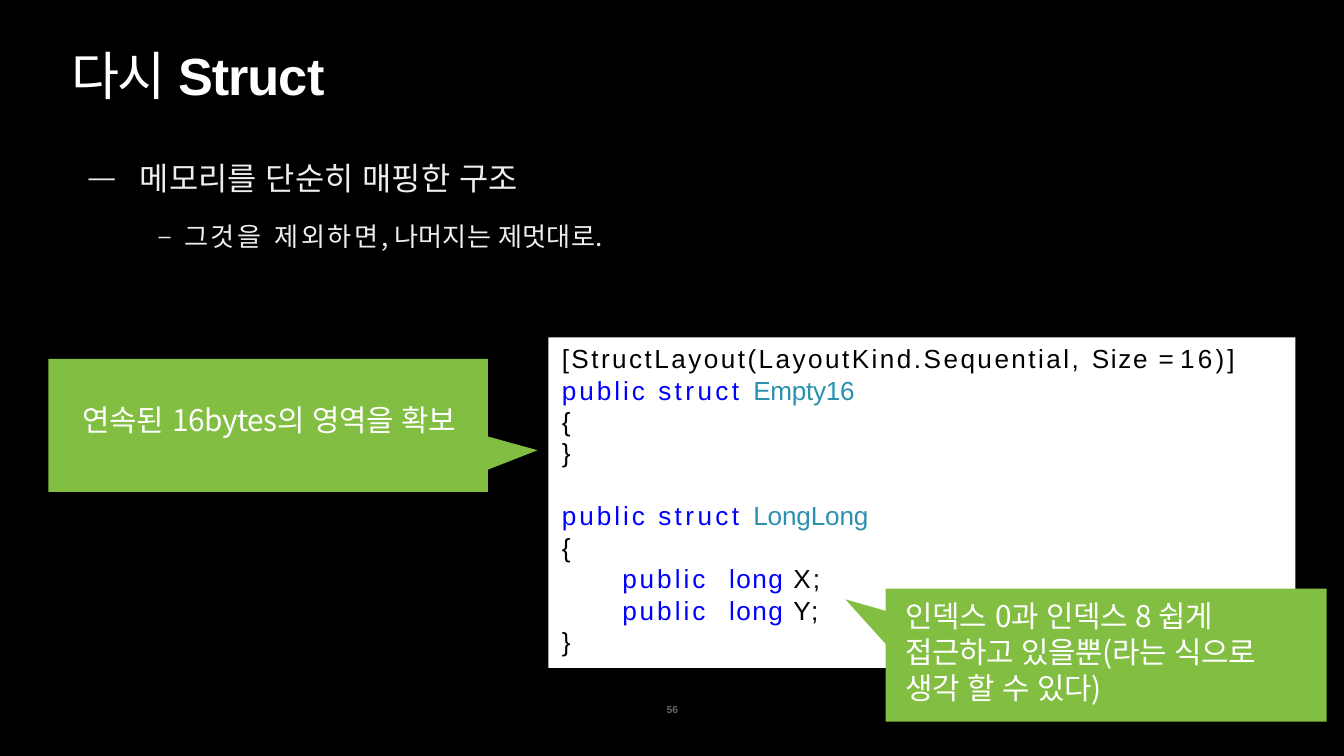
from dataclasses import dataclass

from lxml import etree
from pptx import Presentation
from pptx.dml.color import RGBColor
from pptx.enum.shapes import MSO_SHAPE
from pptx.enum.text import MSO_ANCHOR, PP_ALIGN
from pptx.oxml.ns import qn
from pptx.util import Inches, Pt

RECTANGLE = MSO_SHAPE.RECTANGLE
CALLOUT = MSO_SHAPE.RECTANGULAR_CALLOUT
LEFT, CENTER = PP_ALIGN.LEFT, PP_ALIGN.CENTER
TOP = MSO_ANCHOR.TOP

COLORS = {
    "black": "000000",
    "white": "FFFFFF",
    "body": "EEEEEE",
    "keyword": "0000FF",
    "type": "2B91AE",
    "green": "81BE41",
    "page": "666666",
}
LATIN, KOREAN = "Arial", "Noto Sans CJK JP"
LINE_HEIGHT = 1.2


@dataclass(frozen=True)
class Span:
    text: str
    color: str = "white"
    spacing: float = 0
    font: str = LATIN
    bold: bool = False


@dataclass(frozen=True)
class Line:
    spans: tuple[Span, ...]
    size: float = 14
    before: float = 0
    align: int = LEFT
    indent: float = 0.01
    bullet: str = ""
    hanging: float = 0


@dataclass(frozen=True)
class Callout:
    left: float
    top: float
    width: float
    height: float
    tip: tuple[float, float]
    margins: tuple[float, float, float]
    line: Line


def set_color(fill, name: str) -> None:
    fill.solid()
    fill.fore_color.rgb = RGBColor.from_string(COLORS[name])


def set_indent(paragraph, line: Line) -> None:
    """Set the left margin and, if the line has one, its hanging bullet."""
    properties = paragraph._p.get_or_add_pPr()
    properties.set("marL", str(Inches(line.indent)))
    properties.set("indent", str(Inches(-line.hanging)))
    if line.bullet:
        etree.SubElement(properties, qn("a:buSzPct")).set("val", "83000")
        etree.SubElement(properties, qn("a:buFont")).set("typeface", LATIN)
        etree.SubElement(properties, qn("a:buChar")).set("char", line.bullet)


def write_lines(text_frame, lines: list[Line], margins=(0, 0.01, 0)) -> None:
    """Fill a text frame; margins are left, top and right in inches."""
    left, top, right = margins
    frame_format = {
        "word_wrap": True,
        "vertical_anchor": TOP,
        "margin_left": Inches(left),
        "margin_top": Inches(top),
        "margin_right": Inches(right),
        "margin_bottom": 0,
    }
    for name, value in frame_format.items():
        setattr(text_frame, name, value)
    for index, line in enumerate(lines):
        paragraph = text_frame.add_paragraph() if index else text_frame.paragraphs[0]
        paragraph_format = {
            "alignment": line.align,
            "space_before": Pt(line.before),
            "line_spacing": Pt(line.size * LINE_HEIGHT),
        }
        for name, value in paragraph_format.items():
            setattr(paragraph, name, value)
        set_indent(paragraph, line)
        for span in line.spans:
            run = paragraph.add_run()
            run.text = span.text
            run_format = {"size": Pt(line.size), "name": span.font, "bold": span.bold}
            for name, value in run_format.items():
                setattr(run.font, name, value)
            set_color(run.font.fill, span.color)
            properties = run._r.get_or_add_rPr()
            properties.set("spc", str(round(span.spacing * 100)))
            etree.SubElement(properties, qn("a:ea")).set("typeface", LATIN)


def add_text(slide, left: float, top: float, width: float, height: float,
             lines: list[Line]) -> None:
    box = slide.shapes.add_textbox(
        Inches(left), Inches(top), Inches(width), Inches(height))
    write_lines(box.text_frame, lines)


def add_filled_shape(slide, kind, left: float, top: float, width: float,
                     height: float, color: str):
    shape = slide.shapes.add_shape(
        kind, Inches(left), Inches(top), Inches(width), Inches(height))
    shape.shadow.inherit = False
    shape.line.fill.background()
    set_color(shape.fill, color)
    return shape


def add_callout(slide, callout: Callout) -> None:
    shape = add_filled_shape(slide, CALLOUT, callout.left, callout.top,
                             callout.width, callout.height, "green")
    tip_x, tip_y = callout.tip
    shape.adjustments[0] = (tip_x - callout.left) / callout.width - 0.5
    shape.adjustments[1] = (tip_y - callout.top) / callout.height - 0.5
    write_lines(shape.text_frame, [callout.line], callout.margins)


def struct_header(name: str, spacing: float, before: float = 0) -> Line:
    return Line((Span("public ", "keyword", 1.6), Span("struct ", "keyword", 1.8),
                 Span(name, "type", spacing)), before=before)


def brace(symbol: str) -> Line:
    return Line((Span(symbol, "black", 3),))


def long_field(name: str) -> Line:
    return Line((Span("public", "keyword", 1.6), Span(" ", "keyword", 7.1),
                 Span("long ", "keyword", 0.8), Span(f"{name};", "black", 1.1)),
                indent=0.46)


def callout_line(text: str, align: int) -> Line:
    return Line((Span(text, spacing=-0.2, font=KOREAN),), 16, 0.9, align)


TITLE = [Line((Span("다시 ", spacing=-0.9), Span("Struc", spacing=-0.6, bold=True),
               Span("t", spacing=0.1, bold=True)), 28, 0.9)]
BODY = [
    Line((Span("메모리를 단순히 매핑한 구조", "body", font=KOREAN),),
         17, 1.1, indent=0.4, bullet="—", hanging=0.38),
    Line((Span("그것을 제외하면", "body", 1.4),
          Span(", 나머지는 제멋대로.", "body", font=KOREAN)),
         14, 12.9, indent=0.73, bullet="–", hanging=0.19),
]
EMPTY_STRUCT = [
    Line((Span("[StructLayout(LayoutKind.Sequential, ", "black", 1.3),
          Span("Size ", "black", 0.9), Span("= ", "black", -0.5),
          Span("16)]", "black", 1.7)), before=1),
    struct_header("Empty16", -0.2),
    brace("{"),
    brace("}"),
]
LONG_STRUCT = [struct_header("LongLong", -0.1, 1), brace("{"),
               long_field("X"), long_field("Y"), brace("}")]
PAGE_NUMBER = [Line((Span("56", "page", 0.1, bold=True),), 5.5, 0.6, indent=0.03)]
CALLOUTS = [
    Callout(0.36, 2.67, 3.27, 0.99, (4, 3.35), (0.09, 0.32, 0.08),
            callout_line("연속된 16bytes의 영역을 확보", CENTER)),
    Callout(6.59, 4.38, 3.28, 0.99, (6.29, 4.46), (0.14, 0.07, 0.14),
            callout_line("인덱스 0과 인덱스 8 쉽게 접근하고 있을뿐"
                         "(라는 식으로 생각 할 수 있다)", LEFT)),
]


def main() -> None:
    presentation = Presentation()
    presentation.slide_width = Inches(10)
    presentation.slide_height = Inches(10 * 9 / 16)
    slide = presentation.slides.add_slide(presentation.slide_layouts[6])
    set_color(slide.background.fill, "black")
    add_text(slide, 0.52, 0.31, 3.03, 0.49, TITLE)
    add_text(slide, 0.64, 1.17, 5.57, 0.72, BODY)
    add_filled_shape(slide, RECTANGLE, 4.08, 2.51, 5.56, 2.46, "white")
    add_text(slide, 4.17, 2.54, 5.19, 0.96, EMPTY_STRUCT)
    add_text(slide, 4.17, 3.71, 2.39, 1.2, LONG_STRUCT)
    for callout in CALLOUTS:
        add_callout(slide, callout)
    add_text(slide, 4.93, 5.22, 0.14, 0.12, PAGE_NUMBER)
    presentation.save("out.pptx")


if __name__ == "__main__":
    main()
